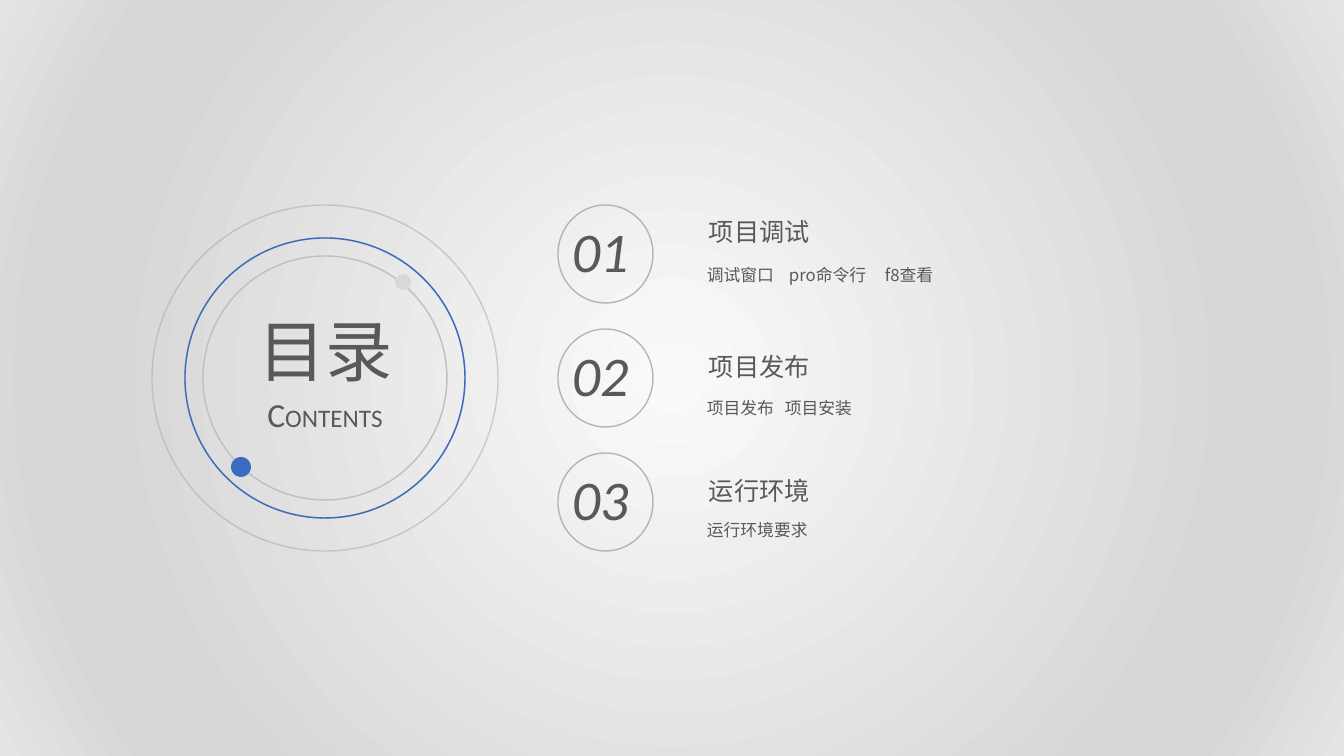
from lxml.etree import SubElement
from pptx import Presentation
from pptx.dml.color import RGBColor
from pptx.enum.shapes import MSO_SHAPE
from pptx.enum.text import MSO_ANCHOR, MSO_AUTO_SIZE, PP_ALIGN
from pptx.oxml import parse_xml
from pptx.oxml.ns import nsdecls, qn
from pptx.util import Pt

PX = 12192000 / 1344
INK = RGBColor(0x59, 0x59, 0x59)
BLUE = RGBColor(0x3A, 0x6B, 0xBF)
GRAY = RGBColor(0xA6, 0xA6, 0xA6)
SILVER = RGBColor(0xBF, 0xBF, 0xBF)
PALE = RGBColor(0xD9, 0xD9, 0xD9)
GLOW = [(0, RGBColor(0xFA, 0xFA, 0xFA)), (74, RGBColor(0xD7, 0xD7, 0xD7)),
        (83, RGBColor(0xD7, 0xD7, 0xD7)), (100, RGBColor(0xE4, 0xE4, 0xE4))]
LATIN, CHINESE = "Calibri", "Noto Sans CJK SC"

deck = Presentation()
deck.slide_width, deck.slide_height = round(1344 * PX), round(756 * PX)
page = deck.slides.add_slide(deck.slide_layouts[5])


def add_ellipse(left, top, width, height, fill=None, line=None, opacity=100):
    ellipse = page.shapes.add_shape(
        MSO_SHAPE.OVAL, *(round(n * PX) for n in (left, top, width, height)))
    ellipse.shadow.inherit = False
    if fill is None:
        ellipse.fill.background()
    else:
        ellipse.fill.solid()
        ellipse.fill.fore_color.rgb = fill
    if line is None:
        ellipse.line.fill.background()
        return
    ellipse.line.color.rgb = line
    ellipse.line.width = Pt(1)
    if opacity < 100:
        color = ellipse.line._ln.find(".//" + qn("a:srgbClr"))
        SubElement(color, qn("a:alpha"), val=str(opacity * 1000))


def write(box, place, pieces, font=CHINESE, align=PP_ALIGN.LEFT, italic=False, wrap=True):
    """Place a box and fill its one paragraph with (text, size) pieces."""
    box.left, box.top, box.width, box.height = (round(n * PX) for n in place)
    frame = box.text_frame
    frame.word_wrap = wrap
    frame.auto_size = MSO_AUTO_SIZE.SHAPE_TO_FIT_TEXT
    frame.vertical_anchor = MSO_ANCHOR.TOP
    para = frame.paragraphs[0]
    para.alignment = align
    for text, size in pieces:
        span = para.add_run()
        span.text = text
        span.font.name = font
        span.font.size = Pt(size)
        span.font.italic = italic
        span.font.color.rgb = INK
        SubElement(span.font._element, qn("a:ea"), typeface=CHINESE)
    return para


# Radial background
stops = "".join(f'<a:gs pos="{pos * 1000}"><a:srgbClr val="{color}"/></a:gs>' for pos, color in GLOW)
page.background.fill.solid()
solid = page.background._cSld.find(".//" + qn("a:solidFill"))
solid.getparent().replace(solid, parse_xml(
    f'<a:gradFill {nsdecls("a")} rotWithShape="1"><a:gsLst>{stops}</a:gsLst><a:path path="circle">'
    '<a:fillToRect l="50000" t="50000" r="50000" b="50000"/></a:path></a:gradFill>'))

# Rings and dots around the title
for diameter, color, opacity in [(244, SILVER, 100), (280, GRAY, 70), (280, BLUE, 100), (346, GRAY, 50)]:
    add_ellipse(325 - diameter // 2, 378 - diameter // 2, diameter, diameter, line=color, opacity=opacity)
for center_x, center_y, diameter, color in [(241, 467, 20, BLUE), (403, 282, 16, PALE)]:
    add_ellipse(center_x - diameter // 2, center_y - diameter // 2, diameter, diameter, fill=color)

write(page.shapes.title, (211, 304, 229, 92), [("目录", 48)], LATIN, PP_ALIGN.CENTER)
write(page.shapes.add_textbox(0, 0, 0, 0), (250, 389, 150, 50), [("C", 24), ("ONTENTS", 18)],
      LATIN, PP_ALIGN.CENTER, wrap=False)

# Numbered sections: heading, its top, detail, its top, tab stops
SECTIONS = [
    ("项目调试", 211, "调试窗口\tpro命令行\tf8查看", 256, [82, 178]),
    ("项目发布", 346, "项目发布\t项目安装", 389, [78]),
    ("运行环境", 470, "运行环境要求", 511, []),
]
for index, (heading, heading_top, detail, detail_top, tabs) in enumerate(SECTIONS):
    shift = index * 124
    add_ellipse(558, 205 + shift, 95, 98, line=GRAY, opacity=80)
    write(page.shapes.add_textbox(0, 0, 0, 0), (562, 212 + shift, 90, 78),
          [(f"{index + 1:02}", 40)], LATIN, italic=True)
    write(page.shapes.add_textbox(0, 0, 0, 0), (699, heading_top, 310, 40), [(heading, 18)])
    para = write(page.shapes.add_textbox(0, 0, 0, 0), (697, detail_top, 480, 34), [(detail, 12)])
    if tabs:
        tab_list = SubElement(para._p.get_or_add_pPr(), qn("a:tabLst"))
        for position in tabs:
            SubElement(tab_list, qn("a:tab"), pos=str(round(position * PX)), algn="l")
    para.line_spacing = 1.2

deck.save("out.pptx")
